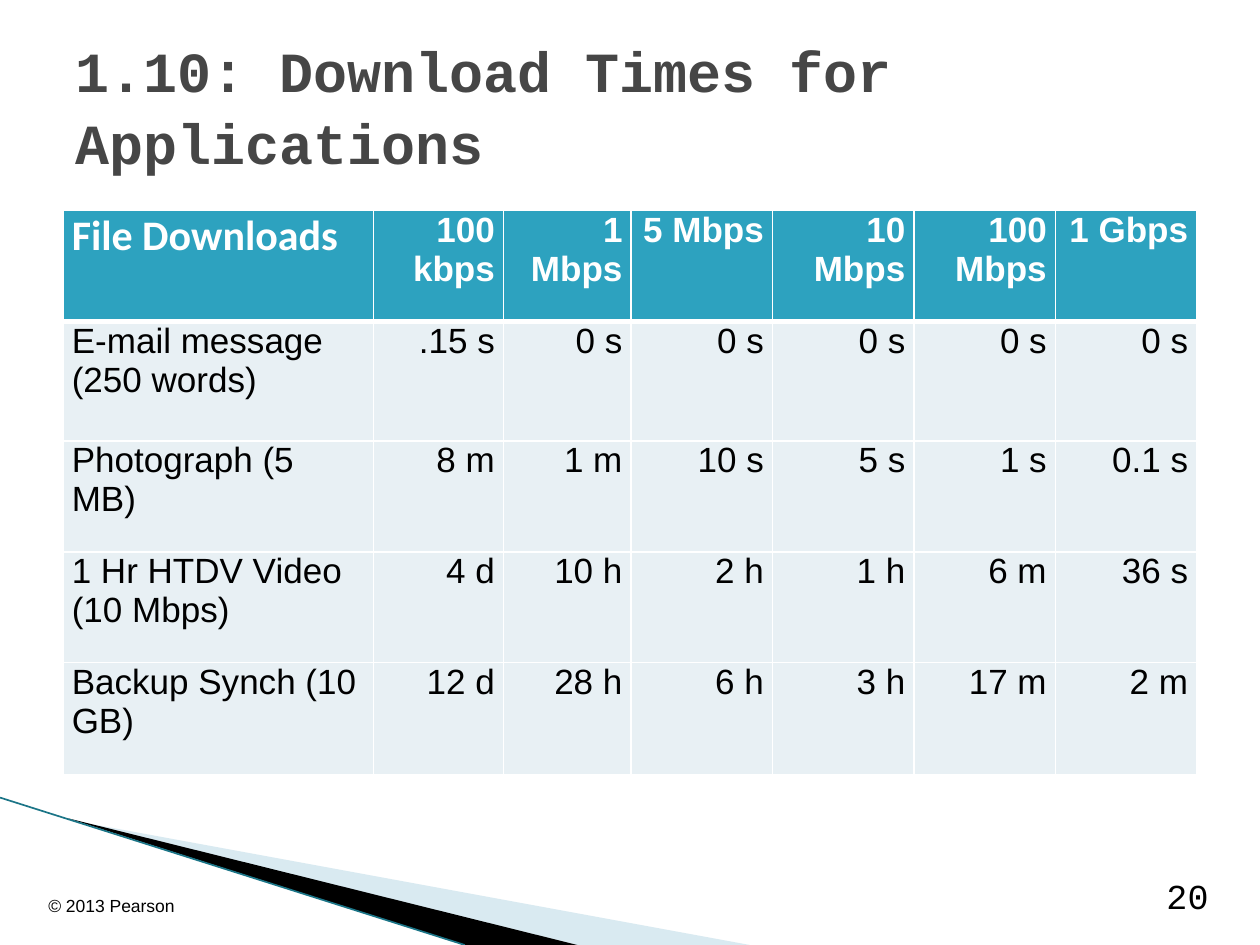
import pptx
import pptx.util
import pptx.dml.color
import pptx.enum.shapes
import pptx.enum.text
import pptx.oxml
import pptx.oxml.ns
import pptx.oxml.xmlchemy

WIDE, HIGH = 10, 7.5
MONO, SANS, HEAD = "Courier New", "Arial", "Calibri"
TEAL, PALE, WHITE, BLACK = "2DA2BF", "E8F0F4", "FFFFFF", "000000"
ALIGN = pptx.enum.text.PP_ALIGN
ANCHOR = pptx.enum.text.MSO_ANCHOR

ROWS = [
    ["File Downloads", "100 kbps", "1 Mbps", "5 Mbps", "10 Mbps", "100 Mbps", "1 Gbps"],
    ["E-mail message (250 words)", ".15 s", "0 s", "0 s", "0 s", "0 s", "0 s"],
    ["Photograph (5 MB)", "8 m", "1 m", "10 s", "5 s", "1 s", "0.1 s"],
    ["1 Hr HTDV Video (10 Mbps)", "4 d", "10 h", "2 h", "1 h", "6 m", "36 s"],
    ["Backup Synch (10 GB)", "12 d", "28 h", "6 h", "3 h", "17 m", "2 m"],
]
COLS = [2.46, 1.03, 1.01] + [1.12] * 4
TALL = [0.88, 0.95, 0.88, 0.88, 0.89]


def inch(size):
    return pptx.util.Inches(size)


def color(code):
    return pptx.dml.color.RGBColor.from_string(code)


def place(box):
    """Turn shares of the slide into lengths."""
    return [inch(part * side) for part, side in zip(box, (WIDE, HIGH) * 2)]


def write(frame, text, size=20, face=SANS, ink=BLACK, bold=False,
          align=ALIGN.LEFT, after=0, lead=None):
    frame.word_wrap = True
    para = frame.paragraphs[0]
    para.text = text
    para.alignment = align
    para.space_after = pptx.util.Pt(after)
    if lead:
        para.line_spacing = lead
    font = para.runs[0].font
    font.size, font.name, font.bold = pptx.util.Pt(size), face, bold
    font.color.rgb = color(ink)


def label(slide, box, text, anchor=ANCHOR.BOTTOM, **form):
    frame = slide.shapes.add_textbox(*place(box)).text_frame
    frame.vertical_anchor = anchor
    write(frame, text, **form)


def edge(cell, side, width):
    """Draw one white cell border; side is L, R, T or B."""
    props = cell._tc.get_or_add_tcPr()
    line = pptx.oxml.parse_xml(
        f'<a:ln{side} {pptx.oxml.ns.nsdecls("a")} w="{pptx.util.Pt(width)}">'
        f'<a:solidFill><a:srgbClr val="{WHITE}"/></a:solidFill></a:ln{side}>')
    props.append(line)


def wedge(slide, box, points, fill, alpha=None):
    """Draw a sliver from points given as shares of the box."""
    left, top, width, height = place(box)
    spots = [(left + x * width, top + y * height) for x, y in points]
    pen = slide.shapes.build_freeform(*map(int, spots[0]))
    pen.add_line_segments([tuple(map(int, spot)) for spot in spots[1:]])
    shape = pen.convert_to_shape()
    shape.shadow.inherit = False
    shape.fill.solid()
    shape.fill.fore_color.rgb = color(fill)
    shape.line.fill.background()
    if alpha:
        tint = shape._element.spPr.find(".//" + pptx.oxml.ns.qn("a:srgbClr"))
        tint.append(pptx.oxml.parse_xml(
            f'<a:alpha {pptx.oxml.ns.nsdecls("a")} val="{alpha * 1000}"/>'))


def swoosh(slide, box):
    """Corner art: two slivers and the line along them."""
    left, top, width, height = box
    wedge(slide, box, [(0.09, 0.15), (1, 1), (0.77, 1)], "A0CBDC", 40)
    wedge(slide, box, [(0.09, 0.14), (0.77, 1), (0.62, 1)], BLACK)
    ends = place((left, top, left + width * 0.62, top + height))
    line = slide.shapes.add_connector(
        pptx.enum.shapes.MSO_CONNECTOR.STRAIGHT, *ends)
    line.line.color.rgb = color("1B7587")
    line.line.width = pptx.util.Pt(0.95)
    line._element.spPr.append(pptx.oxml.parse_xml(
        f'<a:effectLst {pptx.oxml.ns.nsdecls("a")}/>'))


def times(slide, box):
    """Table of download times, header row first."""
    left, top, width, height = place(box)
    table = slide.shapes.add_table(
        len(ROWS), len(COLS), left, top, width, height).table
    for col, part in zip(table.columns, COLS):
        col.width = int(width * part / sum(COLS))
    for row, part in zip(table.rows, TALL):
        row.height = int(height * part / sum(TALL))
    for r, texts in enumerate(ROWS):
        for c, text in enumerate(texts):
            cell = table.cell(r, c)
            cell.margin_left = cell.margin_right = inch(0.07)
            cell.margin_top = cell.margin_bottom = 0
            top_row, corner = r == 0, r == c == 0
            write(cell.text_frame, text,
                  size=24 if corner else 20,
                  face=HEAD if corner else SANS,
                  ink=WHITE if top_row else BLACK, bold=top_row,
                  align=ALIGN.RIGHT if c else ALIGN.LEFT,
                  after=0 if corner else 3)
            for side in "LRTB":
                thick = (top_row and side == "B") or (r == 1 and side == "T")
                edge(cell, side, 3 if thick else 1)
            cell.fill.solid()
            cell.fill.fore_color.rgb = color(TEAL if top_row else PALE)


def footer(slide, box):
    """Copyright on the left, page number on the right."""
    left, top, width, height = box
    label(slide, (left, top, width * 0.15, height), "© 2013 Pearson",
          size=10, align=ALIGN.CENTER)
    label(slide, (left + width * 0.9, top, width * 0.1, height), "20",
          face=MONO, align=ALIGN.RIGHT)


def main():
    deck = pptx.Presentation()
    deck.slide_width, deck.slide_height = inch(WIDE), inch(HIGH)
    slide = deck.slides.add_slide(deck.slide_layouts[6])
    swoosh(slide, (0, 0.844, 0.595, 0.156))
    times(slide, (0.05, 0.223, 0.9, 0.597))
    label(slide, (0.05, 0.04, 0.9, 0.14),
          "1.10: Download Times for Applications", anchor=ANCHOR.MIDDLE,
          size=32.4, face=MONO, ink="464646", bold=True, lead=1.05)
    footer(slide, (0.017, 0.923, 0.952, 0.053))
    deck.save("out.pptx")


if __name__ == "__main__":
    main()
